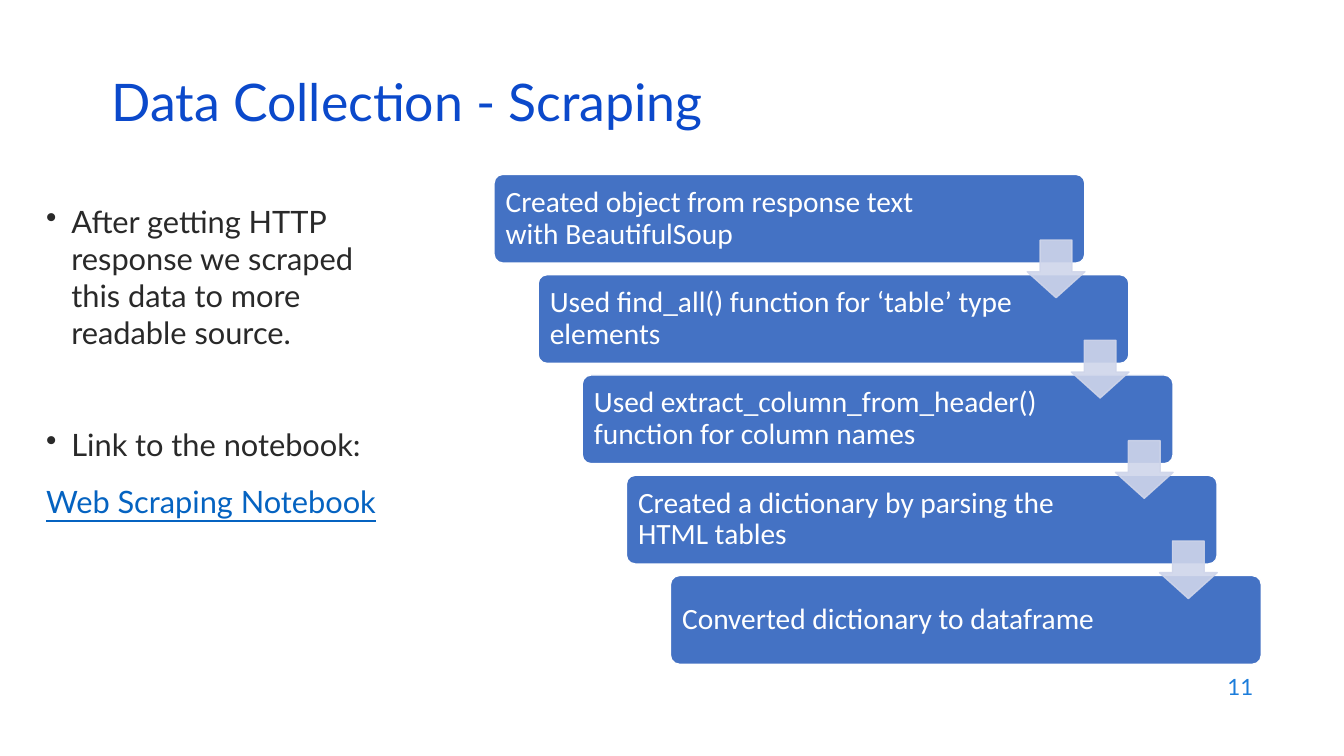
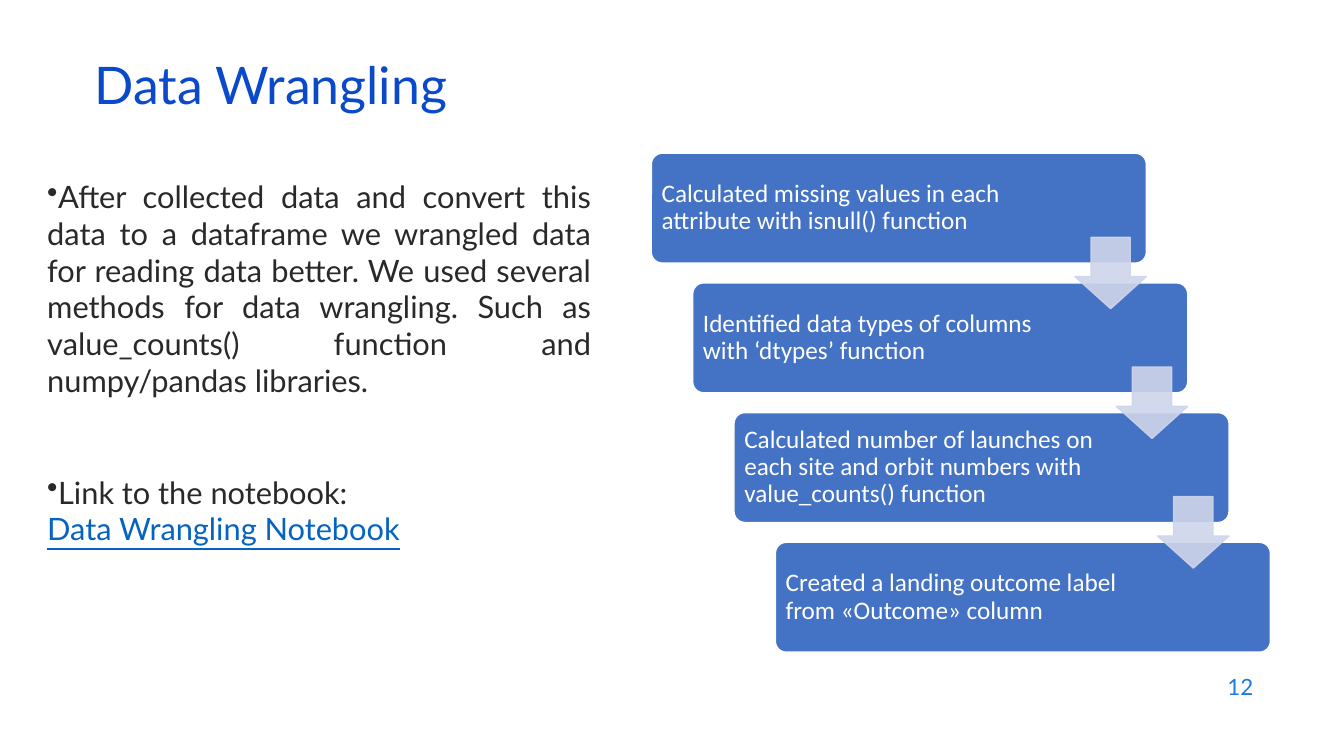
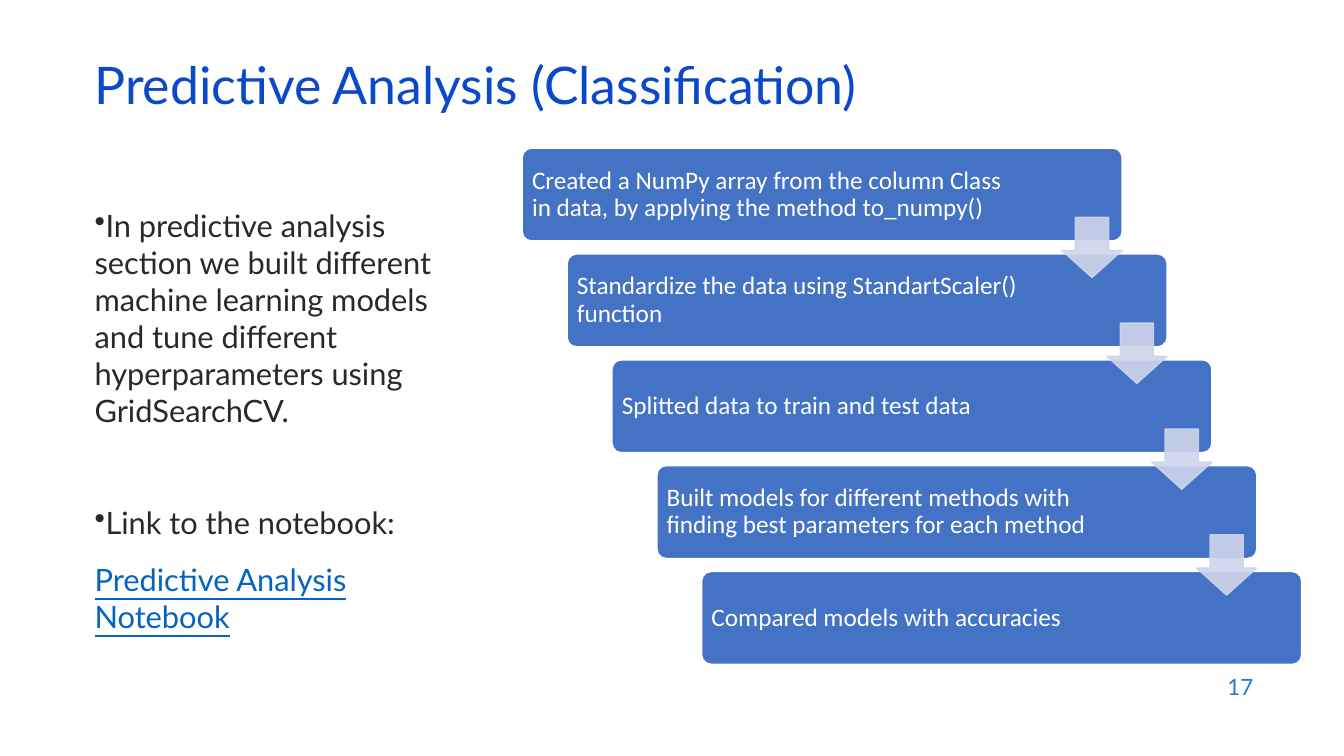
from dataclasses import dataclass

from lxml import etree
from pptx import Presentation
from pptx.dml.color import RGBColor
from pptx.enum import shapes, text
from pptx.oxml import ns
from pptx.util import Inches, Pt

# Shared style
TITLE = RGBColor(0x0B, 0x49, 0xCB)
BODY = RGBColor(0x29, 0x29, 0x29)
LINK = RGBColor(0x05, 0x63, 0xC1)
PAGE = RGBColor(0x1C, 0x7D, 0xDB)
BOX = RGBColor(0x44, 0x72, 0xC4)
ARROW = RGBColor(0xCF, 0xD5, 0xEA)
WHITE = RGBColor(0xFF, 0xFF, 0xFF)
MAIN, STEP = "Lato", "Calibri"


@dataclass
class Area:
    left: float
    top: float
    wide: float
    high: float

    def emu(self) -> list:
        return [Inches(v) for v in (self.left, self.top, self.wide, self.high)]


@dataclass
class Notes:
    area: Area
    text: str
    link: str
    hang: float = 0
    gap: float = 54
    lead: float = 14
    align: text.PP_ALIGN = text.PP_ALIGN.LEFT


@dataclass
class Stairs:
    area: Area
    wide: float
    high: float
    size: int
    inset: float
    steps: list[str]


@dataclass
class Page:
    number: str
    title: str
    left: float
    top: float
    notes: Notes
    stairs: Stairs


PAGES = [
    Page("11", "Data Collection - Scraping", 1.01, 0.76,
         Notes(Area(0.36, 1.96, 3.69, 4.17),
               "After getting HTTP response we scraped this data to more "
               "readable source.",
               "Web Scraping Notebook", hang=0.25),
         Stairs(Area(4.9, 1.73, 7.61, 4.86), 5.86, 0.88, 21, 0.09, [
             "Created object from response text with BeautifulSoup",
             "Used find_all() function for ‘table’ type elements",
             "Used extract_column_from_header() function for column names",
             "Created a dictionary by parsing the HTML tables",
             "Converted dictionary to dataframe"])),
    Page("12", "Data Wrangling", 0.84, 0.59,
         Notes(Area(0.37, 1.71, 5.59, 5.32),
               "After collected data and convert this data to a dataframe we "
               "wrangled data for reading data better. We used several methods "
               "for data wrangling. Such as value_counts() function and "
               "numpy/pandas libraries.",
               "Data Wrangling Notebook", gap=53, lead=0,
               align=text.PP_ALIGN.JUSTIFY),
         Stairs(Area(6.46, 1.52, 6.14, 4.95), 4.91, 1.09, 18, 0.07, [
             "Calculated missing values in each attribute with isnull() function",
             "Identified data types of columns with ‘dtypes’ function",
             "Calculated number of launches on each site and orbit numbers "
             "with value_counts() function",
             "Created a landing outcome label from «Outcome» column"])),
    Page("17", "Predictive Analysis (Classification)", 0.84, 0.59,
         Notes(Area(0.84, 2, 3.82, 4.76),
               "In predictive analysis section we built different machine "
               "learning models and tune different hyperparameters using "
               "GridSearchCV.",
               "Predictive Analysis Notebook"),
         Stairs(Area(5.18, 1.47, 7.73, 5.12), 5.95, 0.92, 18, 0.07, [
             "Created a NumPy array from the column Class in data, by applying "
             "the method to_numpy()",
             "Standardize the data using StandartScaler() function",
             "Splitted data to train and test data",
             "Built models for different methods with finding best parameters "
             "for each method",
             "Compared models with accuracies"])),
]


def style(para, font: str, size: float, color: RGBColor) -> None:
    para.font.name = font
    para.font.size = Pt(size)
    para.font.color.rgb = color


def add_text(slide, area: Area, middle: bool = True):
    frame = slide.shapes.add_textbox(*area.emu()).text_frame
    frame.word_wrap = True
    if middle:
        frame.vertical_anchor = text.MSO_ANCHOR.MIDDLE
    return frame


def add_bullet(para, hang: float) -> None:
    props = para._p.get_or_add_pPr()
    props.set("marL", str(Inches(hang)))
    props.set("indent", str(-Inches(hang)))
    etree.SubElement(props, ns.qn("a:buChar"), char="•")


def add_notes(slide, notes: Notes) -> None:
    frame = add_text(slide, notes.area, middle=False)
    lines = [(notes.text, 0), ("Link to the notebook:", notes.gap),
             (notes.link, notes.lead)]
    for i, (line, space) in enumerate(lines):
        para = frame.paragraphs[0] if i == 0 else frame.add_paragraph()
        para.text = line
        if line == notes.link:
            style(para, MAIN, 22, LINK)
            para.font.underline = True
        else:
            add_bullet(para, notes.hang)
            style(para, MAIN, 22, BODY)
            para.alignment = notes.align
        if space:
            para.space_before = Pt(space)


def add_shape(slide, kind, area: Area, fill: RGBColor, line: RGBColor):
    shape = slide.shapes.add_shape(kind, *area.emu())
    shape.shadow.inherit = False
    shape.fill.solid()
    shape.fill.fore_color.rgb = fill
    shape.line.color.rgb = line
    shape.line.width = Pt(1)
    return shape


def add_step(slide, area: Area, stairs: Stairs, label: str) -> None:
    box = add_shape(slide, shapes.MSO_SHAPE.ROUNDED_RECTANGLE, area, BOX, WHITE)
    box.adjustments[0] = 0.1
    frame = box.text_frame
    frame.word_wrap = True
    frame.vertical_anchor = text.MSO_ANCHOR.MIDDLE
    frame.margin_left = frame.margin_top = frame.margin_bottom = Inches(stairs.inset)
    frame.margin_right = Inches(1.12)  # keeps the text clear of the arrows
    para = frame.paragraphs[0]
    para.text = label
    para.alignment = text.PP_ALIGN.LEFT
    para.line_spacing = 0.9
    style(para, STEP, stairs.size, WHITE)


def add_arrow(slide, area: Area) -> None:
    arrow = add_shape(slide, shapes.MSO_SHAPE.DOWN_ARROW, area, ARROW, ARROW)
    arrow.adjustments[0] = 0.45  # head length
    arrow.adjustments[1] = 0.55  # shaft width
    arrow.adjustments[0], arrow.adjustments[1] = 0.55, 0.45
    for color in arrow._element.spPr.iter(ns.qn("a:srgbClr")):
        etree.SubElement(color, ns.qn("a:alpha"), val="90000")


def add_stairs(slide, stairs: Stairs) -> None:
    area, gaps = stairs.area, len(stairs.steps) - 1
    dx = (area.wide - stairs.wide) / gaps
    dy = (area.high - stairs.high) / gaps
    spots = [Area(area.left + i * dx, area.top + i * dy, stairs.wide, stairs.high)
             for i in range(gaps + 1)]
    for spot, label in zip(spots, stairs.steps):
        add_step(slide, spot, stairs, label)
    # Each arrow is centred on a gap and flush with the upper box
    side = 0.65 * stairs.high
    for spot in spots[:-1]:
        mid = spot.top + (stairs.high + dy) / 2
        add_arrow(slide, Area(spot.left + spot.wide - side, mid - side / 2,
                              side, side))


def add_page(deck, page: Page) -> None:
    slide = deck.slides.add_slide(deck.slide_layouts[6])
    # Page number
    para = add_text(slide, Area(9.53, 6.59, 3, 0.44)).paragraphs[0]
    para.text = page.number
    para.alignment = text.PP_ALIGN.RIGHT
    style(para, MAIN, 16, PAGE)
    # Title
    para = add_text(slide, Area(page.left, page.top, 11.5, 0.6)).paragraphs[0]
    para.text = page.title
    para.line_spacing = 0.8
    style(para, MAIN, 37, TITLE)
    # Content
    add_notes(slide, page.notes)
    add_stairs(slide, page.stairs)


def main() -> None:
    deck = Presentation()
    deck.slide_width, deck.slide_height = Inches(13.33), Inches(7.5)
    for page in PAGES:
        add_page(deck, page)
    deck.save("out.pptx")


if __name__ == "__main__":
    main()
